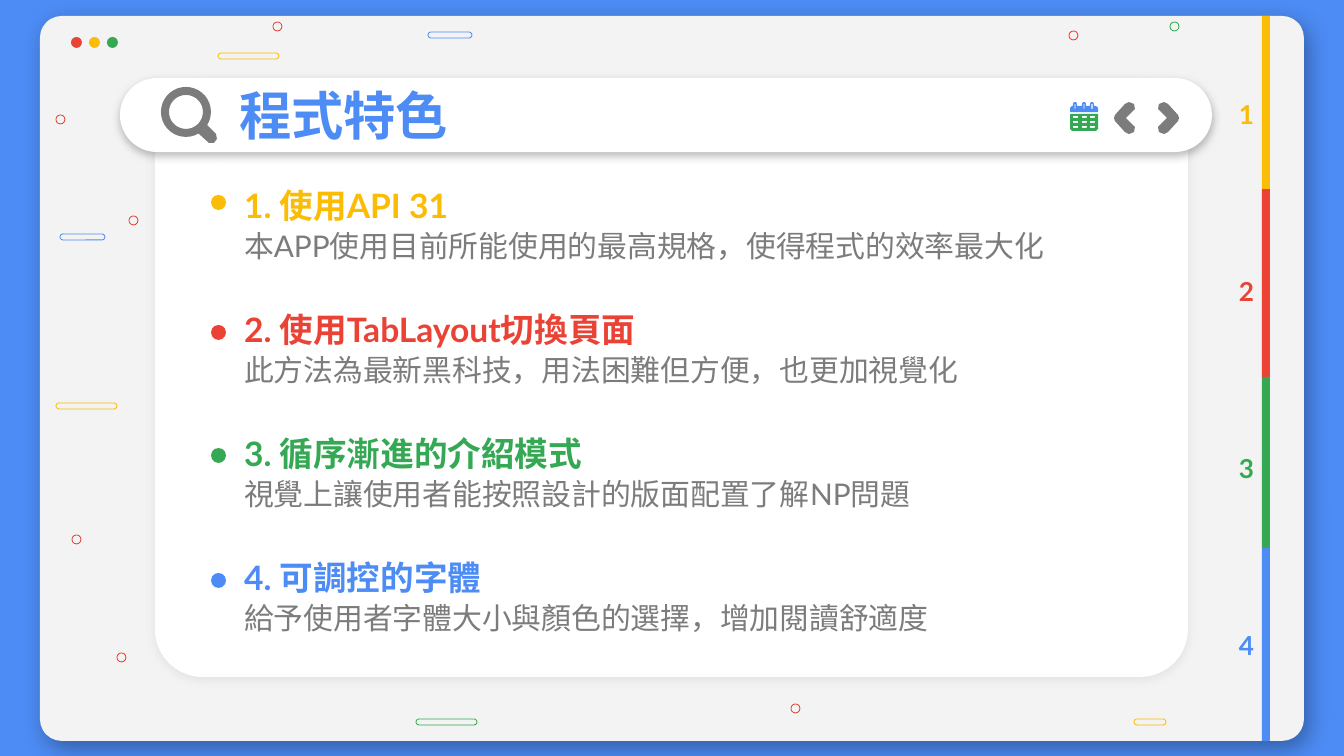
from math import cos, sin, radians
from lxml.etree import SubElement
from pptx import Presentation
from pptx.dml.color import RGBColor
from pptx.enum.shapes import MSO_SHAPE as SHAPE
from pptx.enum.text import MSO_ANCHOR as ANCHOR, PP_ALIGN as ALIGN
from pptx.oxml.ns import qn
from pptx.util import Emu, Pt

BLUE = RGBColor(0x4D, 0x8C, 0xF5)
RED = RGBColor(0xEA, 0x43, 0x35)
YELLOW = RGBColor(0xFB, 0xBC, 0x05)
GREEN = RGBColor(0x34, 0xA8, 0x53)
GRAY = RGBColor(0x7C, 0x7C, 0x7C)
PAPER = RGBColor(0xF3, 0xF3, 0xF3)
WHITE = RGBColor(0xFF, 0xFF, 0xFF)
BLACK = RGBColor(0, 0, 0)
ACCENTS = [YELLOW, RED, GREEN, BLUE]

FEATURES = [
    ("1. 使用API 31", "本APP使用目前所能使用的最高規格，使得程式的效率最大化", 195),
    ("2. 使用TabLayout切換頁面", "此方法為最新黑科技，用法困難但方便，也更加視覺化", 325),
    ("3. 循序漸進的介紹模式", "視覺上讓使用者能按照設計的版面配置了解NP問題", 448),
    ("4. 可調控的字體", "給予使用者字體大小與顏色的選擇，增加閱讀舒適度", 573),
]
PILLS = [
    (1134, 719, 32, YELLOW), (416, 719, 61, GREEN), (60, 234, 45, BLUE),
    (56, 403, 61, YELLOW), (428, 32, 44, BLUE), (218, 53, 61, YELLOW),
]
RINGS = [
    (72, 535, RED), (129, 216, RED), (56, 115, RED), (117, 653, RED),
    (1069, 31, RED), (1170, 22, GREEN), (273, 22, RED), (791, 704, RED),
]
CHEVRON = [(6, 0), (10, 2), (20, 13), (21, 16), (20, 19), (10, 30),
           (6, 32), (1, 30), (0, 25), (9, 16), (0, 7), (1, 2)]
BAR_EDGES = [16, 189, 377, 548, 741]


def px(n):
    return Emu(round(n * 914400 / 134.4))


def add_shadow(sp, color, alpha, blur, dist, angle):
    sp.shadow.inherit = False
    effects = sp._element.spPr.find(qn("a:effectLst"))
    shadow = SubElement(effects, qn("a:outerShdw"), blurRad=str(Pt(blur)),
                        dist=str(Pt(dist)), dir=str(angle * 60000),
                        algn="bl", rotWithShape="0")
    clr = SubElement(shadow, qn("a:srgbClr"), val=str(color))
    SubElement(clr, qn("a:alpha"), val=str(alpha * 1000))


def paint(sp, fill=None, line=None):
    sp.shadow.inherit = False
    if fill is None:
        sp.fill.background()
    else:
        sp.fill.solid()
        sp.fill.fore_color.rgb = fill
    if line is None:
        sp.line.fill.background()
    else:
        sp.line.color.rgb = line
        sp.line.width = Pt(0.44)


def add_shape(s, kind, x, y, w, h, fill=None, line=None, adj=None):
    sp = s.shapes.add_shape(kind, px(x), px(y), px(w), px(h))
    if adj is not None:
        sp.adjustments[0] = adj
    paint(sp, fill, line)
    return sp


def add_outline(s, contours, fill):
    first, *rest = [[(px(x), px(y)) for x, y in c] for c in contours]
    fb = s.shapes.build_freeform(*first[0])
    fb.add_line_segments(first[1:], close=True)
    for c in rest:
        fb.move_to(*c[0])
        fb.add_line_segments(c[1:], close=True)
    paint(fb.convert_to_shape(), fill)


def add_text(s, text, x, y, w, h, size, color, bold=False, align=ALIGN.LEFT):
    tf = s.shapes.add_textbox(px(x), px(y), px(w), px(h)).text_frame
    tf.word_wrap = True
    tf.vertical_anchor = ANCHOR.MIDDLE
    tf.margin_left = tf.margin_right = tf.margin_top = tf.margin_bottom = px(13)
    p = tf.paragraphs[0]
    p.alignment = align
    r = p.add_run()
    r.text = text
    r.font.name = "Lato"
    r.font.size = Pt(size)
    r.font.bold = bold
    r.font.color.rgb = color


def arc(cx, cy, radius, start, stop, step):
    return [(cx + radius * cos(radians(a)), cy + radius * sin(radians(a)))
            for a in range(start, stop, step)]


def box(x, y, w, h):
    return [(x, y), (x, y + h), (x + w, y + h), (x + w, y)]


def add_window(s):
    window = add_shape(s, SHAPE.ROUNDED_RECTANGLE, 40, 16, 1264, 725, PAPER, adj=0.03)
    add_shadow(window, BLACK, 32, 12.4, 5.2, 57)
    panel = add_shape(s, SHAPE.ROUNDED_RECTANGLE, 155, 81, 1033, 596, WHITE, adj=0.08)
    add_shadow(panel, GRAY, 12, 4.5, 1.5, 90)
    search = add_shape(s, SHAPE.ROUNDED_RECTANGLE, 120, 78, 1092, 74, WHITE, adj=0.5)
    add_shadow(search, GRAY, 50, 4.5, 1.5, 90)
    for i, color in enumerate([RED, YELLOW, GREEN]):
        add_shape(s, SHAPE.OVAL, 71 + 18 * i, 37, 11, 11, color)


def add_confetti(s):
    for x, y, w, color in PILLS:
        add_shape(s, SHAPE.ROUNDED_RECTANGLE, x, y, w, 6, line=color, adj=0.5)
    for x, y, color in RINGS:
        add_shape(s, SHAPE.OVAL, x, y, 9, 9, line=color)


def add_magnifier(s):
    handle = [(207, 125), (216, 134), (217, 139), (214, 143), (209, 143), (199, 134)]
    lens = arc(186, 112, 17, 0, 360, 10)[::-1]
    add_outline(s, [arc(186, 112, 25, 60, 391, 10) + handle, lens], GRAY)


def add_calendar(s):
    slots = [box(x, y, 5, 2)[::-1] for y in (116, 121, 126) for x in (1073, 1082, 1090)]
    body = [(1070, 114), (1070, 129), (1072, 131), (1096, 131), (1098, 129), (1098, 114)]
    add_outline(s, [body] + slots, GREEN)
    top = [(1070, 112), (1070, 108), (1072, 106)]
    holes = []
    for x in (1073, 1082, 1090):
        top += [(x, 106), (x, 104), (x + 1, 102), (x + 3, 102), (x + 4, 104), (x + 4, 106)]
        holes.append(box(x + 1.5, 104, 1, 5))
    top += [(1096, 106), (1098, 108), (1098, 112)]
    add_outline(s, [top] + holes, BLUE)


def add_chevrons(s):
    for x, direction in ((1158, 1), (1135, -1)):
        add_outline(s, [[(x + direction * dx, 102 + dy) for dx, dy in CHEVRON]], GRAY)


def add_features(s):
    for i, ((title, detail, dot_y), color) in enumerate(zip(FEATURES, ACCENTS)):
        y = 183 + 124 * i
        add_text(s, title, 231, y, 918, 44, 18, color, True)
        add_text(s, detail, 231, y + 41, 918, 44, 16, GRAY)
        add_shape(s, SHAPE.OVAL, 211, dot_y, 15, 15, color)


def add_page_index(s):
    for i, color in enumerate(ACCENTS):
        top, bottom = BAR_EDGES[i:i + 2]
        add_shape(s, SHAPE.RECTANGLE, 1262, top, 8, bottom - top, color)
        add_text(s, str(i + 1), 1214, 97 + 177 * i, 65, 35, 14, color, True, ALIGN.CENTER)


def main():
    prs = Presentation()
    prs.slide_width, prs.slide_height = px(1344), px(756)
    s = prs.slides.add_slide(prs.slide_layouts[6])
    s.background.fill.solid()
    s.background.fill.fore_color.rgb = BLUE
    add_window(s)
    add_magnifier(s)
    add_confetti(s)
    add_text(s, "程式特色", 226, 80, 816, 70, 28, BLUE, True)
    add_features(s)
    add_page_index(s)
    add_chevrons(s)
    add_calendar(s)
    prs.save("out.pptx")


if __name__ == "__main__":
    main()
